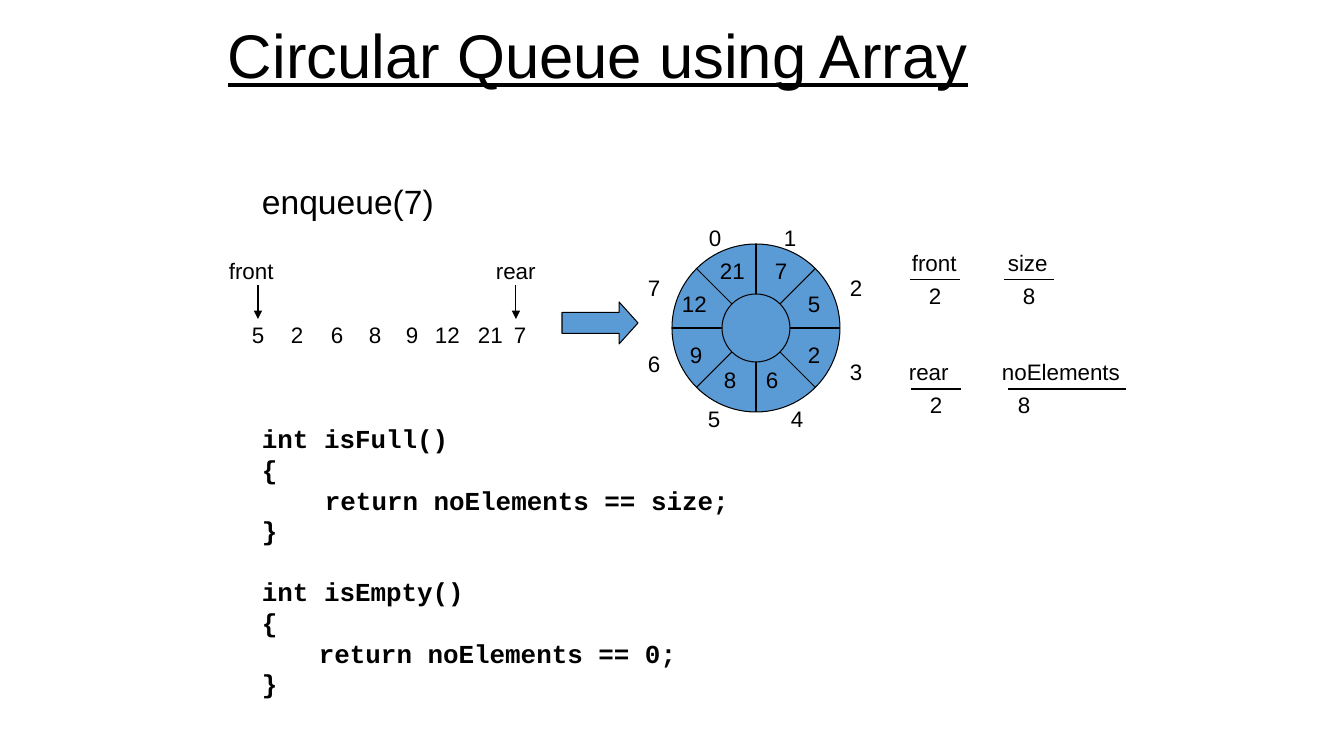
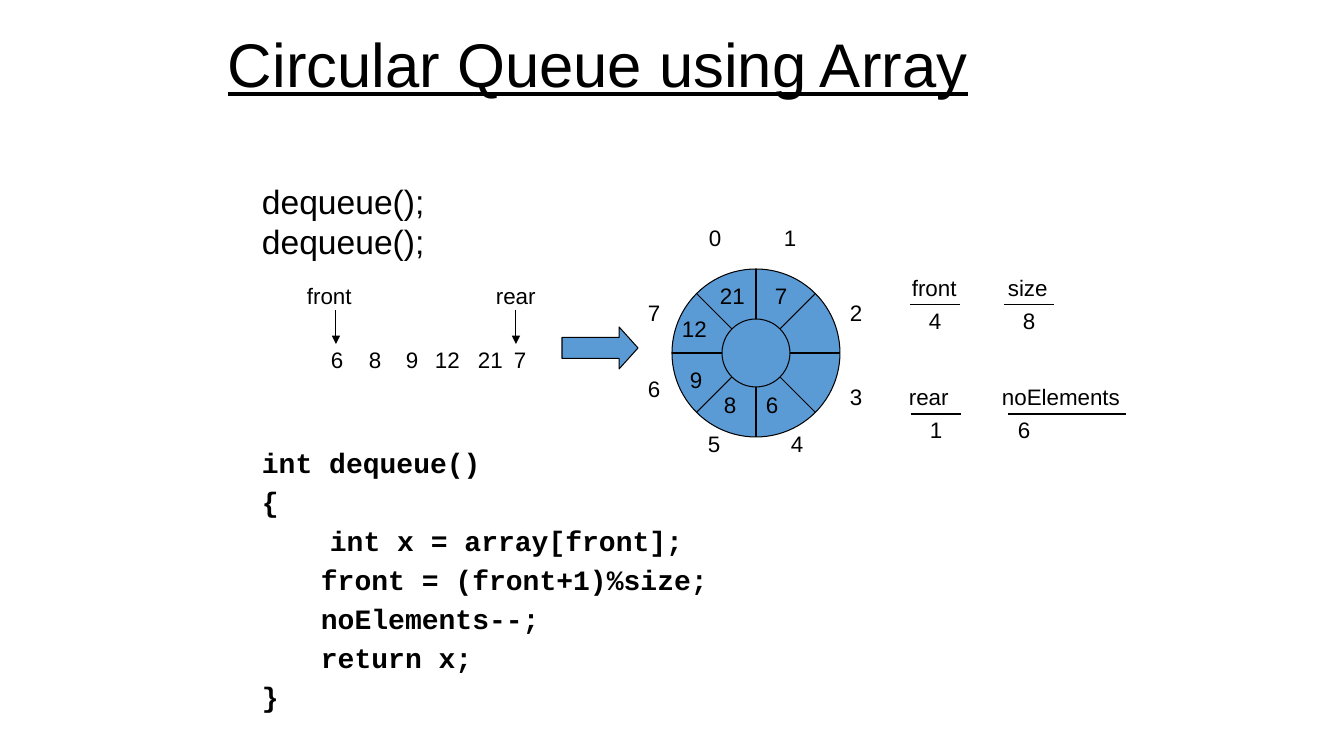
"""Build two slides on a circular queue kept in an array."""
from dataclasses import dataclass
from math import cos, pi, sin

from lxml import etree
from pptx import Presentation
from pptx.dml.color import RGBColor
from pptx.enum.shapes import MSO_CONNECTOR, MSO_SHAPE
from pptx.enum.text import MSO_ANCHOR, MSO_AUTO_SIZE
from pptx.oxml.ns import qn
from pptx.shapes.autoshape import Shape
from pptx.slide import Slide
from pptx.text.text import TextFrame
from pptx.util import Emu, Pt

LINE = MSO_CONNECTOR.STRAIGHT
OVAL = MSO_SHAPE.OVAL
ARROW = MSO_SHAPE.RIGHT_ARROW
TOP = MSO_ANCHOR.TOP
MIDDLE = MSO_ANCHOR.MIDDLE
GROW = MSO_AUTO_SIZE.SHAPE_TO_FIT_TEXT

COLOR = {"ink": "000000", "ring": "5B9BD5", "page": "FFFFFF"}
SCALE = 914400 / 100.8
SANS, MONO = "Arial", "Courier New"
WIDTH = {"front": 66, "rear": 60, "size": 60, "noElements": 138}
HUB = (756, 328)
RIM, CORE = 84, 34
DROP = 25


@dataclass(frozen=True)
class Style:
    """Font settings of a run."""
    size: float
    font: str = SANS
    bold: bool = False
    under: bool = False


@dataclass(frozen=True)
class Row:
    """One line of code, its indent in pixels and extra space above in points."""
    text: str
    left: int = 0
    above: float = 0


@dataclass(frozen=True)
class Code:
    """A block of code with its box and line spacing."""
    box: tuple[int, int, int, int]
    style: Style
    pitch: float
    rows: tuple[Row, ...]


@dataclass(frozen=True)
class Field:
    """A named variable; value and rule are set off from the name's left."""
    name: str
    left: int
    top: int
    value: int
    rule: int
    span: int


@dataclass(frozen=True)
class Page:
    """All that differs between the slides."""
    title: int
    calls: tuple[str, ...]
    wide: int
    drop: int
    first: int
    front: int
    slots: tuple[str, ...]
    values: tuple[str, ...]
    code: Code


TITLE = Style(44, under=True)
CALL = Style(24)
LABEL = Style(16)

QUEUE = (("5", 242), ("2", 281), ("6", 321), ("8", 359),
         ("9", 396), ("12", 425), ("21", 468), ("7", 504))
INDEX = ((699, 219), (774, 219), (840, 269), (840, 353),
         (781, 400), (698, 400), (638, 345), (638, 269))
SLOTS = ((710, 252), (765, 252), (798, 285), (798, 336),
         (756, 361), (714, 361), (680, 336), (672, 285))
FIELDS = (Field("front", 902, 244, 17, 8, 50), Field("size", 998, 244, 15, 6, 50),
          Field("rear", 899, 353, 21, 12, 50), Field("noElements", 992, 353, 16, 16, 118))

PAGES = (
    Page(8, ("enqueue(7)",), 193, 0, 0, 258,
         ("21", "7", "5", "2", "6", "8", "9", "12"), ("2", "8", "2", "8"),
         Code((252, 428, 899, 285), Style(18.5, MONO, True), 0.63, (
             Row("int isFull()"), Row("{"),
             Row("return noElements == size;", 63), Row("}"),
             Row("int isEmpty()", above=21.2), Row("{"),
             Row("return noElements == 0;", 57), Row("}")))),
    Page(17, ("dequeue();", "dequeue();"), 184, DROP, 2, 336,
         ("21", "7", "", "", "6", "8", "9", "12"), ("4", "8", "1", "6"),
         Code((252, 446, 605, 260), Style(20, MONO, True), 0.83, (
             Row("int dequeue()"), Row("{"),
             Row("int x = array[front];", 68),
             Row("front = (front+1)%size;", 59),
             Row("noElements--;", 59), Row("return x;", 59), Row("}")))),
)


def px(num: float) -> Emu:
    """Turn pixels into EMU."""
    return Emu(round(num * SCALE))


def tint(name: str) -> RGBColor:
    """Look up a colour."""
    return RGBColor.from_string(COLOR[name])


def frame(slide: Slide, box: tuple[int, int, int, int], wrap: bool) -> TextFrame:
    """Add a text box and give its frame."""
    text = slide.shapes.add_textbox(*map(px, box)).text_frame
    text.word_wrap = wrap
    text.vertical_anchor = TOP
    if not wrap:
        text.auto_size = GROW
    return text


def write(text: TextFrame, rows: tuple[Row, ...], style: Style,
          pitch: float = 1, gap: float = 0) -> None:
    """Fill a frame with one paragraph for each row."""
    for num, row in enumerate(rows):
        para = text.add_paragraph() if num else text.paragraphs[0]
        para.line_spacing = pitch
        para.space_before = Pt(gap + row.above)
        if row.left:
            para._p.get_or_add_pPr().set("marL", str(px(row.left)))
        run = para.add_run()
        run.text = row.text
        font = run.font
        font.name, font.size = style.font, Pt(style.size)
        font.bold, font.underline = style.bold, style.under
        font.color.rgb = tint("ink")


def label(slide: Slide, text: str, left: int, top: int) -> None:
    """Add a small label."""
    wide = WIDTH.get(text, 19 + 13 * len(text))
    write(frame(slide, (left, top, wide, 37), False), (Row(text),), LABEL)


def line(slide: Slide, start: tuple[float, float], end: tuple[float, float],
         head: bool = False) -> None:
    """Draw a thin line, with an arrowhead if asked."""
    link = slide.shapes.add_connector(LINE, *map(px, (*start, *end)))
    link.line.color.rgb = tint("ink")
    link.line.width = Pt(0.75)
    if head:
        etree.SubElement(link.line._get_or_add_ln(), qn("a:tailEnd"), type="triangle")
    etree.SubElement(link._element.spPr, qn("a:effectLst"))


def solid(slide: Slide, kind: MSO_SHAPE, box: tuple[int, int, int, int]) -> Shape:
    """Add a filled shape with a thin outline."""
    shape = slide.shapes.add_shape(kind, *map(px, box))
    shape.shadow.inherit = False
    shape.fill.solid()
    shape.fill.fore_color.rgb = tint("ring")
    shape.line.color.rgb = tint("ink")
    shape.line.width = Pt(0.75)
    return shape


def wheel(slide: Slide, page: Page) -> None:
    """Draw the ring with its spokes, indexes and values."""
    mid, level = HUB[0], HUB[1] + page.drop
    for num, (left, top) in enumerate(INDEX):
        label(slide, str(num), left, top + (page.drop if num > 1 else 0))
    for size in (RIM, CORE):
        solid(slide, OVAL, (mid - size, level - size, 2 * size, 2 * size))
    for num in range(len(SLOTS)):
        turn = 2 * pi * num / len(SLOTS)
        start, end = ((mid + size * cos(turn), level + size * sin(turn))
                      for size in (CORE, RIM))
        line(slide, start, end)
    for text, (left, top) in zip(page.slots, SLOTS):
        if text:
            label(slide, text, left, top + page.drop)


def queue(slide: Slide, page: Page) -> None:
    """Draw the straight queue, its two marks and the block arrow."""
    for text, left in QUEUE[page.first:]:
        label(slide, text, left, 316 + page.drop)
    for name, mark, shift in (("front", page.front, 39), ("rear", 516, 30)):
        label(slide, name, mark - shift, 252 + page.drop)
        line(slide, (mark, 285 + page.drop), (mark, 319 + page.drop), True)
    block = solid(slide, ARROW, (562, 302 + page.drop, 76, 42))
    block.adjustments[0], block.adjustments[1] = 0.5, 0.45


def fields(slide: Slide, page: Page) -> None:
    """Draw each variable over its value."""
    for field, value in zip(FIELDS, page.values):
        left, top = field.left, field.top + page.drop
        label(slide, field.name, left, top)
        label(slide, value, left + field.value, top + 33)
        start = left + field.rule
        line(slide, (start, top + 36), (start + field.span, top + 36))


def build(slide: Slide, page: Page) -> None:
    """Draw a whole slide."""
    slide.background.fill.solid()
    slide.background.fill.fore_color.rgb = tint("page")
    title = frame(slide, (218, page.title, 907, 101), True)
    title.vertical_anchor = MIDDLE
    write(title, (Row("Circular Queue using Array"),), TITLE, 0.9)
    code = page.code
    write(frame(slide, code.box, True), code.rows, code.style, code.pitch, 8)
    calls = frame(slide, (252, 176, page.wide, 9 + 41 * len(page.calls)), False)
    write(calls, tuple(map(Row, page.calls)), CALL)
    queue(slide, page)
    wheel(slide, page)
    fields(slide, page)


def main() -> None:
    """Make and save the deck."""
    deck = Presentation()
    deck.slide_width, deck.slide_height = px(1344), px(756)
    for page in PAGES:
        build(deck.slides.add_slide(deck.slide_layouts[6]), page)
    deck.save("out.pptx")


main()
